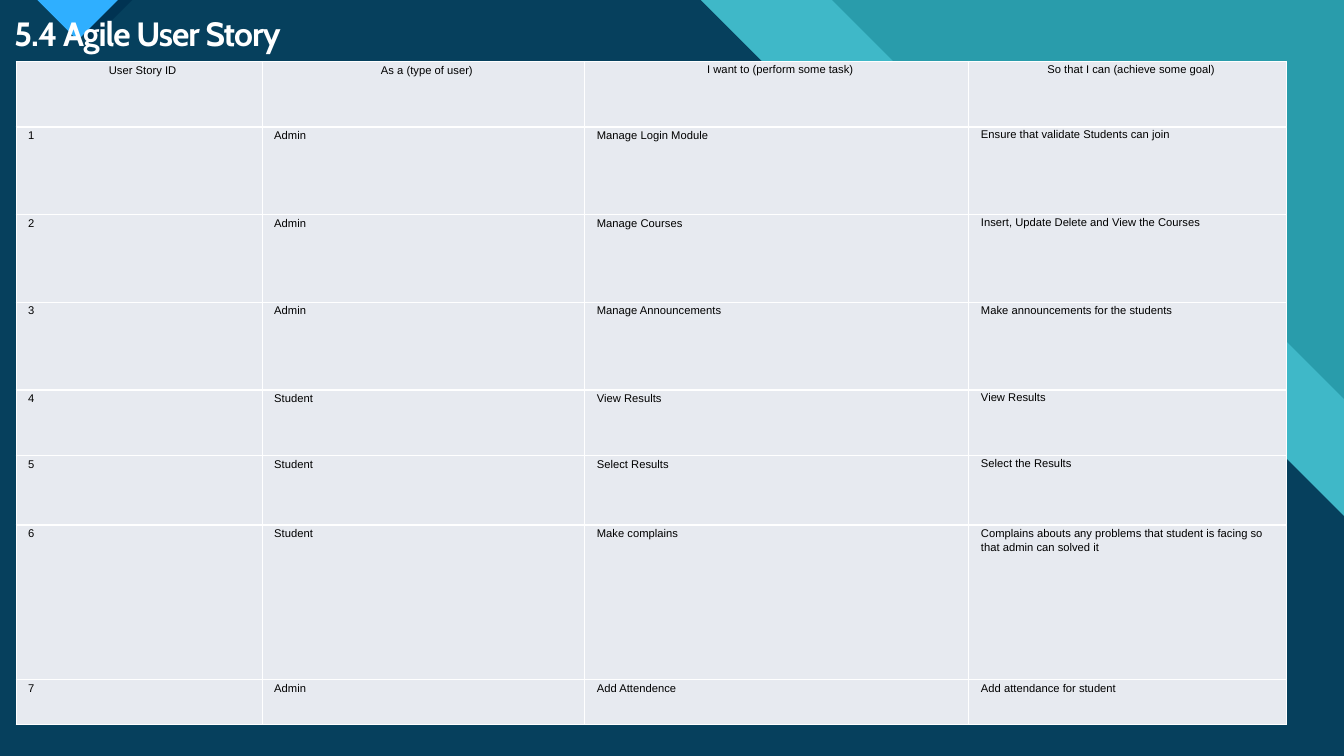
"""Builds the Agile User Story slide: layered panels, a title and a story table."""
import pptx
import pptx.dml.color
import pptx.enum.shapes
import pptx.enum.text
import pptx.oxml
import pptx.oxml.ns
import pptx.util
from lxml import etree

RGBColor = pptx.dml.color.RGBColor
Inches = pptx.util.Inches
Pt = pptx.util.Pt
ALIGN = pptx.enum.text.PP_ALIGN
qn = pptx.oxml.ns.qn

TEAL = RGBColor(0x29, 0x9C, 0xAB)
AQUA = RGBColor(0x47, 0xC3, 0xD3)
NAVY = RGBColor(0x00, 0x33, 0x52)
BLUE = RGBColor(0x2F, 0xAF, 0xFF)
WHITE = RGBColor(0xFF, 0xFF, 0xFF)
BLACK = RGBColor(0x00, 0x00, 0x00)
CELL_FILL = RGBColor(0xE7, 0xEA, 0xF0)

TITLE = "5.4 Agile User Story"
STORIES = [
    ("User Story ID", "As a (type of user)", "I want to (perform some task)",
     "So that I can (achieve some goal)"),
    ("1", "Admin", "Manage Login Module", "Ensure that validate Students can join"),
    ("2", "Admin", "Manage Courses", "Insert, Update Delete and View the Courses"),
    ("3", "Admin", "Manage Announcements", "Make announcements for the students"),
    ("4", "Student", "View Results", "View Results"),
    ("5", "Student", "Select Results", "Select the Results"),
    ("6", "Student", "Make complains",
     "Complains abouts any problems that student is facing so that admin can solved it"),
    ("7", "Admin", "Add Attendence", "Add attendance for student"),
]
COLUMNS = [2.44, 3.2, 3.81, 3.15]
ROWS = [0.65, 0.87, 0.87, 0.87, 0.65, 0.69, 1.53, 0.45]
TIGHT_CELLS = {(0, 2), (3, 0), (3, 1), (3, 2)} | {(row, 3) for row in range(7)}

WIDTH, HEIGHT = 13.33, 7.5
PANELS = [
    ([(0, 0), (8.25, 0), (11.22, 2.97), (12.34, 2.97), (WIDTH, 3.96),
      (WIDTH, HEIGHT), (0, HEIGHT)], AQUA, 74),
    ([(0, 0), (6.95, 0), (9.92, 2.97), (11.18, 2.97), (WIDTH, 5.12),
      (WIDTH, HEIGHT), (0, HEIGHT)], NAVY, 90),
    ([(0.48, 0), (0.9, 0.41), (1.31, 0)], NAVY, 100),
    ([(0.37, 0), (0.77, 0.4), (1.17, 0)], BLUE, 100),
]


def set_all(obj, formats):
    for name, value in formats.items():
        setattr(obj, name, value)


def paint(sp, color, opacity=100):
    sp.shadow.inherit = False
    sp.fill.solid()
    sp.fill.fore_color.rgb = color
    sp.line.fill.background()
    if opacity < 100:
        clr = sp.fill._xPr.find(qn("a:solidFill"))[0]
        etree.SubElement(clr, qn("a:alpha"), val=str(opacity * 1000))


def add_panel(shapes, points, color, opacity):
    pts = [(Inches(x), Inches(y)) for x, y in points]
    builder = shapes.build_freeform(*pts[0])
    builder.add_line_segments(pts[1:], close=True)
    paint(builder.convert_to_shape(), color, opacity)


def add_title(slide):
    sp = slide.shapes.title
    slide.shapes._spTree.append(sp._element)
    set_all(sp, {"left": Inches(0.04), "top": Inches(0.12),
                 "width": Inches(12.26), "height": Inches(0.46)})
    tf = sp.text_frame
    tf.text = TITLE
    set_all(tf, {"word_wrap": True, "vertical_anchor": pptx.enum.text.MSO_ANCHOR.TOP,
                 "auto_size": pptx.enum.text.MSO_AUTO_SIZE.SHAPE_TO_FIT_TEXT})
    p = tf.paragraphs[0]
    set_all(p, {"alignment": ALIGN.LEFT, "line_spacing": 0.9})
    r = p.runs[0]
    set_all(r.font, {"name": "Cabin", "size": Pt(24), "bold": True})
    r.font.color.rgb = WHITE
    r.font._element.set("spc", "-70")


def add_borders(cell):
    tc_pr = cell._tc.get_or_add_tcPr()
    for side in ("a:lnL", "a:lnR", "a:lnT", "a:lnB"):
        ln = etree.SubElement(tc_pr, qn(side), w=str(Pt(1)))
        fill = etree.SubElement(ln, qn("a:solidFill"))
        etree.SubElement(fill, qn("a:srgbClr"), val=str(WHITE))


def fill_cell(cell, text, row, col):
    add_borders(cell)
    set_all(cell, {"margin_left": Inches(0.05), "margin_right": Inches(0.05),
                   "margin_top": 0, "margin_bottom": 0, "text": text})
    cell.fill.solid()
    cell.fill.fore_color.rgb = CELL_FILL
    p = cell.text_frame.paragraphs[0]
    set_all(p, {"alignment": ALIGN.LEFT if row else ALIGN.CENTER, "space_after": Pt(6),
                "line_spacing": 1.14 if (row, col) in TIGHT_CELLS else 1.21})
    p._p.get_or_add_pPr().set("marL", str(Inches(0.07)))
    r = p.runs[0]
    set_all(r.font, {"name": "Arial", "size": Pt(8), "bold": False})
    r.font.color.rgb = BLACK


def add_story_table(shapes):
    table = shapes.add_table(len(ROWS), len(COLUMNS), Inches(0.16), Inches(0.61),
                             Inches(sum(COLUMNS)), Inches(sum(ROWS))).table
    set_all(table, {"first_row": False, "horz_banding": False})
    for column, width in zip(table.columns, COLUMNS):
        column.width = Inches(width)
    for row, (height, story) in enumerate(zip(ROWS, STORIES)):
        table.rows[row].height = Inches(height)
        for col, text in enumerate(story):
            fill_cell(table.cell(row, col), text, row, col)


def main():
    prs = pptx.Presentation()
    set_all(prs, {"slide_width": Inches(WIDTH), "slide_height": Inches(HEIGHT)})
    slide = prs.slides.add_slide(prs.slide_layouts[5])
    slide.background.fill.solid()
    slide.background.fill.fore_color.rgb = AQUA
    backdrop = slide.shapes.add_shape(pptx.enum.shapes.MSO_SHAPE.RECTANGLE, 0, 0,
                                      prs.slide_width, prs.slide_height)
    paint(backdrop, TEAL)
    for points, color, opacity in PANELS:
        add_panel(slide.shapes, points, color, opacity)
    add_title(slide)
    add_story_table(slide.shapes)
    prs.save("out.pptx")


if __name__ == "__main__":
    main()
